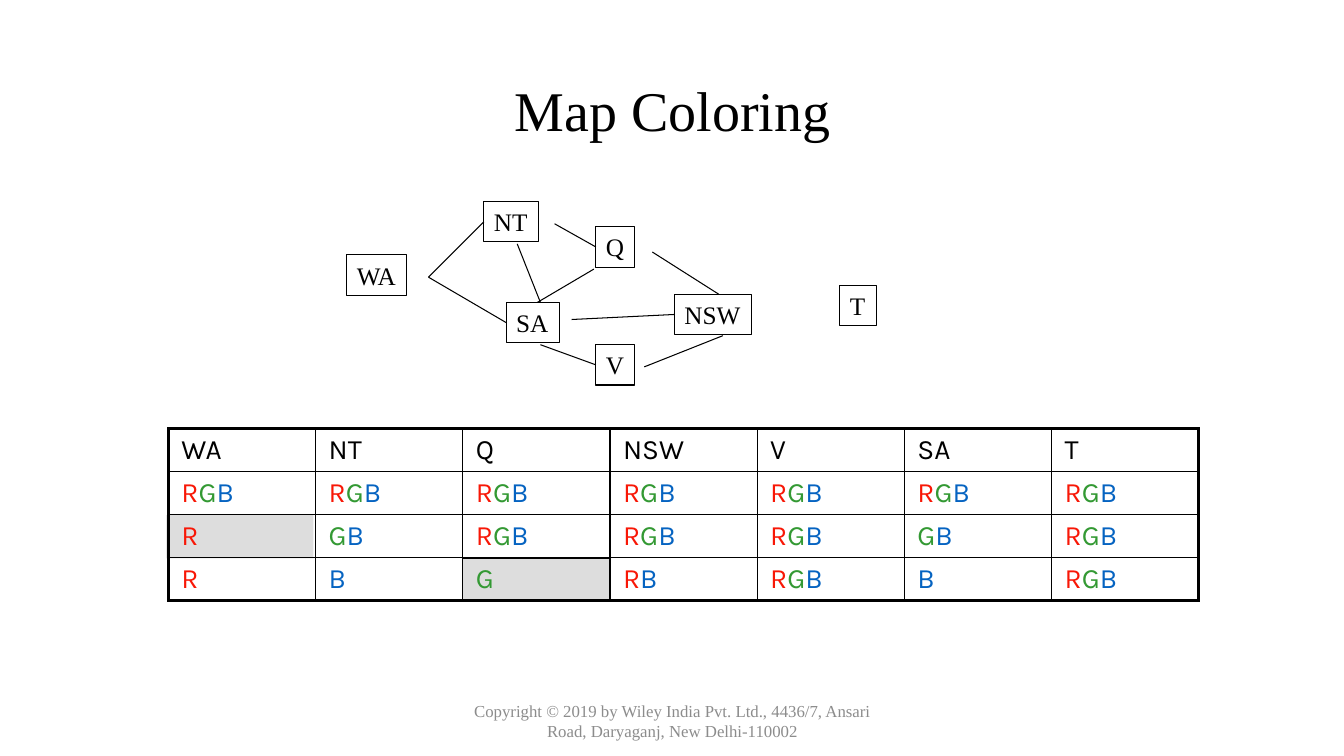
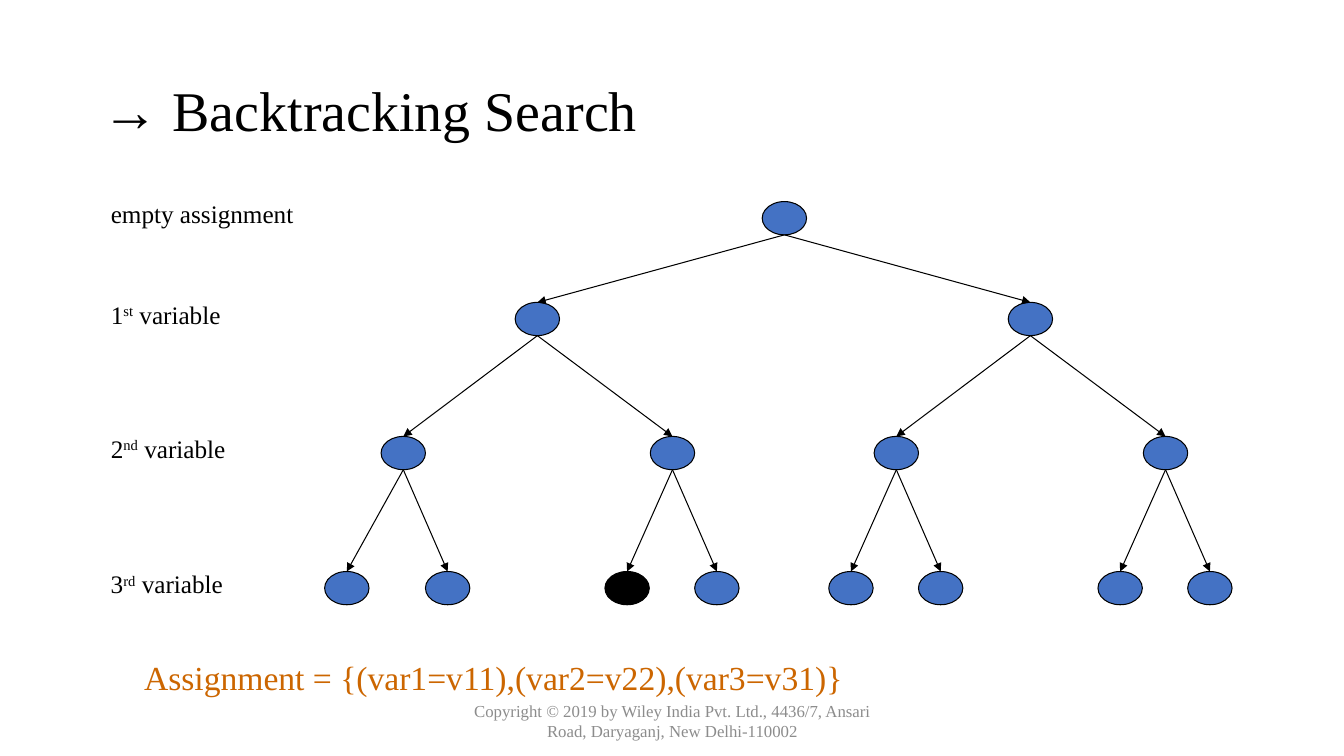
from dataclasses import dataclass
from typing import NamedTuple

from lxml.etree import SubElement
from pptx import Presentation
from pptx.dml.color import RGBColor
from pptx.enum.shapes import MSO_CONNECTOR, MSO_SHAPE
from pptx.enum.text import MSO_ANCHOR, MSO_AUTO_SIZE, PP_ALIGN
from pptx.oxml.ns import qn
from pptx.util import Inches, Pt

COLORS = {
    "black": "000000",
    "white": "FFFFFF",
    "footer": "8C8C8C",
    "grey": "DDDDDD",
    "node": "4472C4",
    "orange": "CC6600",
    "R": "F81706",
    "G": "339933",
    "B": "0563C1",
}
SERIF = "Times New Roman"
TABLE_FONT = "Karla"
NO_STYLE = "{2D5ABB26-0587-4C30-8999-92F81FD0307C}"
FOOTER = ("Copyright © 2019 by Wiley India Pvt. Ltd., 4436/7, Ansari Road, "
          "Daryaganj, New Delhi-110002")


class Point(NamedTuple):
    x: float
    y: float


class Box(NamedTuple):
    left: float
    top: float
    width: float
    height: float


@dataclass
class Region:
    name: str
    box: Box


@dataclass
class Border:
    start: Point
    end: Point
    joins: str = ""


@dataclass
class Level:
    label: str
    suffix: str
    rest: str
    label_width: float
    top: float
    centers: list[float]


REGIONS = [
    Region("T", Box(8.33, 2.83, 0.36, 0.4)),
    Region("WA", Box(3.44, 2.53, 0.59, 0.4)),
    Region("NT", Box(4.8, 2, 0.54, 0.4)),
    Region("SA", Box(5.02, 3, 0.53, 0.4)),
    Region("Q", Box(5.91, 2.25, 0.38, 0.4)),
    Region("NSW", Box(6.69, 2.92, 0.76, 0.4)),
    Region("V", Box(5.91, 3.42, 0.38, 0.4)),
]
BORDERS = [
    Border(Point(4.25, 2.75), Point(4.8, 2.17), "NT"),
    Border(Point(4.25, 2.75), Point(5.02, 3.25), "SA"),
    Border(Point(5.13, 2.42), Point(5.36, 3)),
    Border(Point(5.36, 3.42), Point(5.91, 3.67), "V"),
    Border(Point(6.47, 2.5), Point(7.13, 2.92)),
    Border(Point(5.5, 2.22), Point(5.93, 2.47), "Q"),
    Border(Point(6.39, 3.64), Point(7.17, 3.33)),
    Border(Point(5.89, 2.67), Point(5.33, 3)),
    Border(Point(5.67, 3.17), Point(6.67, 3.17), "NSW"),
]
HEADER = ["WA", "NT", "Q", "NSW", "V", "SA", "T"]
DOMAINS = [
    ["RGB"] * 7,
    ["R", "GB", "RGB", "RGB", "RGB", "GB", "RGB"],
    ["R", "B", "G", "RB", "RGB", "B", "RGB"],
]
LEVELS = [
    Level("empty assignment", "", "", 2.09, 2, [7.78]),
    Level("1", "st", " variable", 1.32, 3, [5.33, 10.22]),
    Level("2", "nd", " variable", 1.38, 4.33, [4, 6.67, 8.89, 11.56]),
    Level("3", "rd", " variable", 1.34, 5.67,
          [3.44, 4.44, 6.22, 7.11, 8.44, 9.33, 11.11, 12]),
]
NODE_W, NODE_H = 0.44, 0.33
CURRENT_NODE = (3, 2)


def rgb(name: str) -> RGBColor:
    return RGBColor.from_string(COLORS[name])


def style_run(r, size: float, color: str = "black", font: str = SERIF) -> None:
    r.font.size = Pt(size)
    r.font.name = font
    r.font.color.rgb = rgb(color)


def add_text(s, box: Box, text: str, size: float, color: str = "black",
             wrap: bool = False, align=PP_ALIGN.LEFT):
    sp = s.shapes.add_textbox(*map(Inches, box))
    fill_text(sp, text, size, color, wrap, align)
    return sp


def fill_text(sp, text: str, size: float, color: str = "black",
              wrap: bool = False, align=PP_ALIGN.LEFT) -> None:
    tf = sp.text_frame
    tf.word_wrap = wrap
    tf.auto_size = MSO_AUTO_SIZE.NONE if wrap else MSO_AUTO_SIZE.SHAPE_TO_FIT_TEXT
    tf.vertical_anchor = MSO_ANCHOR.MIDDLE if wrap else MSO_ANCHOR.TOP
    p = tf.paragraphs[0]
    p.text = text
    p.alignment = align
    style_run(p.runs[0], size, color)


def add_box(s, kind, box: Box, fill: str = "", line: bool = True):
    sp = s.shapes.add_shape(kind, *map(Inches, box))
    sp.shadow.inherit = False
    if fill:
        sp.fill.solid()
        sp.fill.fore_color.rgb = rgb(fill)
    else:
        sp.fill.background()
    if line:
        sp.line.color.rgb = rgb("black")
        sp.line.width = Pt(0.75)
    else:
        sp.line.fill.background()
    return sp


def add_line(s, start: Point, end: Point, arrow: bool = False):
    c = s.shapes.add_connector(MSO_CONNECTOR.STRAIGHT, *map(Inches, (*start, *end)))
    c.line.color.rgb = rgb("black")
    c.line.width = Pt(0.75)
    if arrow:
        SubElement(c.line._get_or_add_ln(), qn("a:tailEnd"), type="triangle")
    SubElement(c._element.spPr, qn("a:effectLst"))
    return c


def new_slide(prs, title: str, align=PP_ALIGN.LEFT):
    s = prs.slides.add_slide(prs.slide_layouts[6])
    s.background.fill.solid()
    s.background.fill.fore_color.rgb = rgb("white")
    sp = add_text(s, Box(0.92, 0.4, 11.5, 1.45), title, 40, wrap=True, align=align)
    sp.text_frame.paragraphs[0].line_spacing = 0.9
    return s


def add_footer(s) -> None:
    add_text(s, Box(4.42, 6.95, 4.5, 0.4), FOOTER, 12, "footer", True, PP_ALIGN.CENTER)


def set_cell_borders(cell, widths: dict[str, float]) -> None:
    tcPr = cell._tc.get_or_add_tcPr()
    for side, width in widths.items():
        ln = SubElement(tcPr, qn(f"a:ln{side}"), w=str(Pt(width)))
        fill = SubElement(ln, qn("a:solidFill"))
        SubElement(fill, qn("a:srgbClr"), val=COLORS["black"])


def add_domain_table(s, box: Box) -> None:
    rows = [HEADER, *DOMAINS]
    n_rows, n_cols = len(rows), len(HEADER)
    table = s.shapes.add_table(n_rows, n_cols, *map(Inches, box)).table
    table.first_row = table.horz_banding = False
    table._tbl.tblPr.find(qn("a:tableStyleId")).text = NO_STYLE
    for i, row in enumerate(rows):
        table.rows[i].height = Inches(box.height / n_rows)
        for j, value in enumerate(row):
            table.columns[j].width = Inches(box.width / n_cols)
            cell = table.cell(i, j)
            cell.margin_left = cell.margin_right = Inches(0.13)
            cell.margin_top = cell.margin_bottom = Inches(0.05)
            p = cell.text_frame.paragraphs[0]
            for part in [value] if i == 0 else value:
                r = p.add_run()
                r.text = part
                style_run(r, 20, "black" if i == 0 else part, TABLE_FONT)
            set_cell_borders(cell, {
                "L": 2.25 if j == 0 else 1,
                "R": 2.25 if j == n_cols - 1 else 1,
                "T": 2.25 if i == 0 else 1,
                "B": 2.25 if i == n_rows - 1 else 1,
            })
            cell.fill.background()


def build_map_coloring(prs) -> None:
    s = new_slide(prs, "Map Coloring", PP_ALIGN.CENTER)
    add_box(s, MSO_SHAPE.RECTANGLE, Box(1.65, 5.11, 1.46, 0.43), "grey", line=False)
    add_box(s, MSO_SHAPE.RECTANGLE, Box(4.59, 5.54, 1.46, 0.43), "grey")
    add_domain_table(s, Box(1.67, 4.25, 10.22, 1.71))
    boxes = {}
    for region in REGIONS:
        sp = add_box(s, MSO_SHAPE.RECTANGLE, region.box)
        fill_text(sp, region.name, 18)
        boxes[region.name] = sp
    for border in BORDERS:
        c = add_line(s, border.start, border.end)
        if border.joins:
            c.end_connect(boxes[border.joins], 1)
    add_footer(s)


def add_level_label(s, level: Level) -> None:
    sp = add_text(s, Box(1, level.top - 0.08, level.label_width, 0.4), level.label, 18)
    p = sp.text_frame.paragraphs[0]
    for text, baseline in ((level.suffix, "30000"), (level.rest, "0")):
        if text:
            r = p.add_run()
            r.text = text
            style_run(r, 18)
            r._r.get_or_add_rPr().set("baseline", baseline)


def build_backtracking(prs) -> None:
    s = new_slide(prs, "→ Backtracking Search")
    for depth, level in enumerate(LEVELS):
        add_level_label(s, level)
        for i, x in enumerate(level.centers):
            fill = "black" if (depth, i) == CURRENT_NODE else "node"
            node = add_box(s, MSO_SHAPE.OVAL,
                           Box(x - NODE_W / 2, level.top, NODE_W, NODE_H), fill)
            if depth:
                parent = LEVELS[depth - 1]
                start = Point(parent.centers[i // 2], parent.top + NODE_H)
                c = add_line(s, start, Point(x, level.top), arrow=True)
                c.end_connect(node, 0)
    add_text(s, Box(1.33, 6.47, 7.19, 0.5),
             "Assignment = {(var1=v11),(var2=v22),(var3=v31)}", 24, "orange")
    add_footer(s)


def main() -> None:
    prs = Presentation()
    prs.slide_width, prs.slide_height = Inches(13.33), Inches(7.5)
    build_map_coloring(prs)
    build_backtracking(prs)
    prs.save("out.pptx")


if __name__ == "__main__":
    main()
